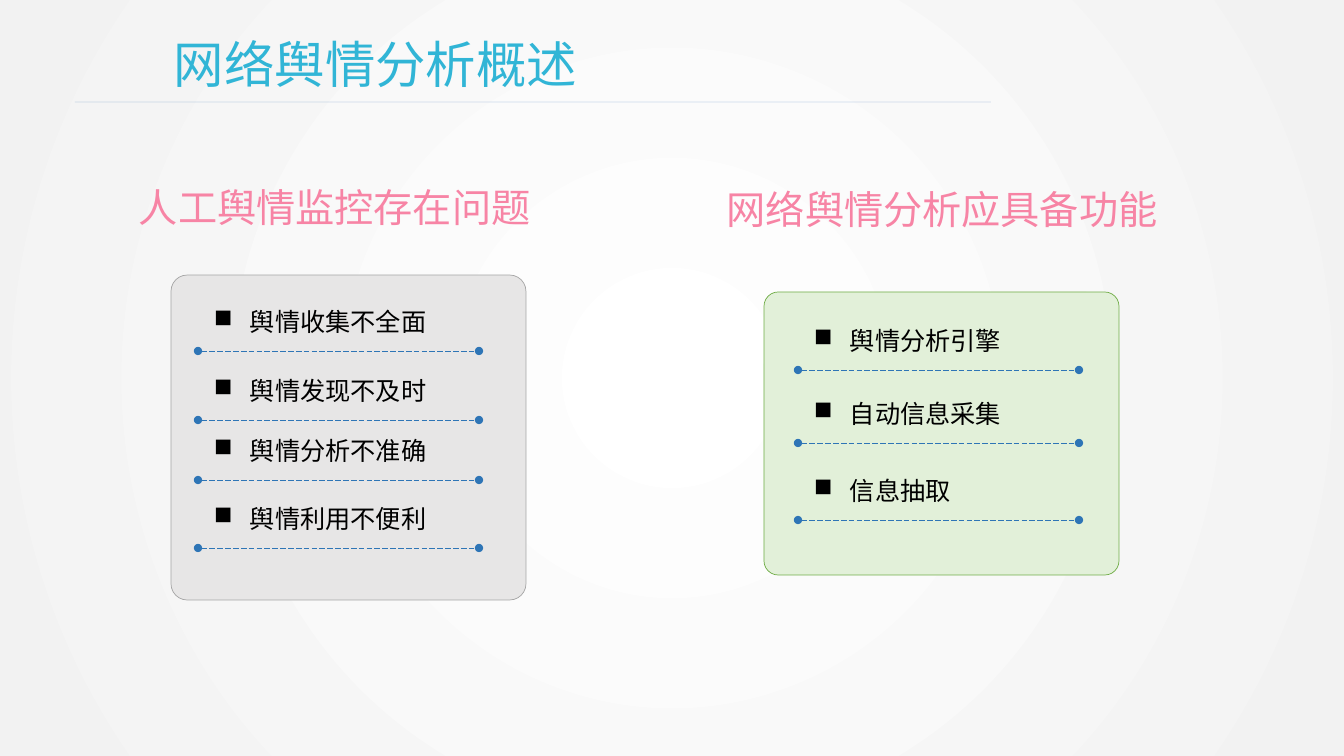
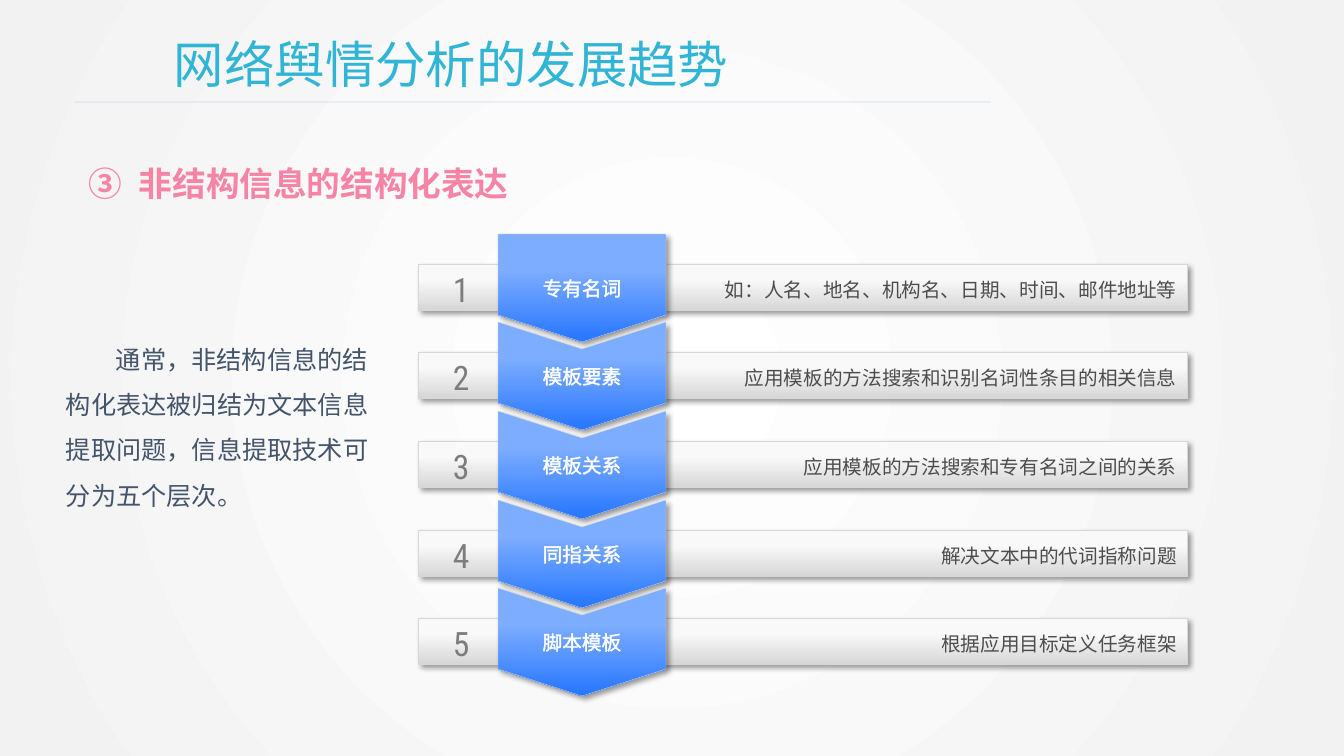
from dataclasses import dataclass

from pptx import Presentation
from pptx.dml.color import RGBColor
from pptx.enum.dml import MSO_LINE
from pptx.enum.shapes import MSO_CONNECTOR, MSO_SHAPE
from pptx.enum.text import MSO_ANCHOR, PP_ALIGN
from pptx.oxml.ns import qn
from pptx.util import Pt
from lxml.etree import SubElement as add_element

EMU_PER_PX = 914400 / 100.8


@dataclass(frozen=True)
class Theme:
    font: str = "Noto Sans CJK SC"
    number_font: str = "Roboto Condensed"
    title: str = "31B5D6"
    rule: str = "4A7EBB"
    heading: str = "F784A5"
    ink: str = "000000"
    body: str = "44546A"
    detail: str = "4D4D4D"
    number: str = "7D7D7D"
    white: str = "FFFFFF"
    dash: str = "2E75B6"
    edge: str = "D7D7D7"
    gray_panel: tuple = ("E7E6E6", "A5A5A5")
    green_panel: tuple = ("E2F0D9", "70AD47")
    backdrop: tuple = ("FFFFFF", "F2F2F2")
    bar: tuple = ("F9F9F9", "D7D7D7")
    chevron: tuple = ("7DADFF", "2676FF")
    title_size: int = 36
    heading_size: int = 28
    subheading_size: int = 24
    body_size: int = 18
    label_size: int = 14


THEME = Theme()


def px(length):
    return round(length * EMU_PER_PX)


def rgb(color):
    return RGBColor.from_string(color)


def blend(fill, colors, start=0.0):
    fill.gradient()
    for stop, color, position in zip(fill.gradient_stops, colors, (start, 1.0)):
        stop.color.rgb = rgb(color)
        stop.position = position


def write(frame, text, size=THEME.body_size, color=THEME.ink, font=THEME.font,
          bold=False, align=PP_ALIGN.LEFT, spacing=None, margin=0, indent=0,
          bullet=None, number_from=None, outline=None):
    para = frame.paragraphs[0]
    para.alignment = align
    if spacing:
        para.line_spacing = spacing
    props = para._p.get_or_add_pPr()
    props.set("marL", str(px(margin)))
    props.set("indent", str(px(indent)))
    if bullet:
        add_element(props, qn("a:buChar"), char=bullet)
    if number_from:
        add_element(props, qn("a:buAutoNum"), type="circleNumDbPlain",
                    startAt=str(number_from))
    span = para.add_run()
    span.text = text
    span.font.size = Pt(size)
    span.font.bold = bold
    span.font.color.rgb = rgb(color)
    span.font.name = font
    span_props = span._r.get_or_add_rPr()
    add_element(span_props, qn("a:ea"), typeface=font)
    if outline:
        line = add_element(span_props, qn("a:ln"), w=str(Pt(0.75)))
        solid = add_element(line, qn("a:solidFill"))
        add_element(solid, qn("a:srgbClr"), val=outline)
        span_props.insert(0, line)


class Slides:
    def __init__(self, theme):
        self.theme = theme
        self.deck = Presentation()
        self.deck.slide_width = px(1344)
        self.deck.slide_height = px(756)
        self.page = None
        self.paint_backdrop()

    def paint_backdrop(self):
        fill = self.deck.slide_master.background.fill
        blend(fill, self.theme.backdrop)
        gradient = self.deck.slide_master._element.find(".//" + qn("a:gradFill"))
        gradient.remove(gradient.find(qn("a:lin")))
        circle = add_element(gradient, qn("a:path"), path="circle")
        add_element(circle, qn("a:fillToRect"), l="50000", t="50000",
                    r="50000", b="50000")

    def start(self, title):
        self.page = self.deck.slides.add_slide(self.deck.slide_layouts[6])
        self.text(title, 164, 28, 857, 72, size=self.theme.title_size,
                  color=self.theme.title)
        self.line(75, 102, 916, self.theme.rule, opacity=25)

    def text(self, text, left, top, width, height, anchor=MSO_ANCHOR.TOP, **style):
        box = self.page.shapes.add_textbox(px(left), px(top), px(width), px(height))
        box.text_frame.word_wrap = True
        box.text_frame.vertical_anchor = anchor
        write(box.text_frame, text, **style)

    def line(self, left, top, width, color, opacity=None, dotted_ends=False):
        line = self.page.shapes.add_connector(
            MSO_CONNECTOR.STRAIGHT, px(left), px(top), px(left + width), px(top))
        line.line.width = Pt(0.5)
        line.line.color.rgb = rgb(color)
        stroke = line.line._get_or_add_ln()
        if opacity:
            add_element(stroke.find(".//" + qn("a:srgbClr")), qn("a:alpha"),
                        val=str(opacity * 1000))
        if dotted_ends:
            line.line.dash_style = MSO_LINE.LONG_DASH
            for end in ("a:headEnd", "a:tailEnd"):
                add_element(stroke, qn(end), type="oval")
        add_element(line._element.spPr, qn("a:effectLst"))

    def panel(self, left, top, width, height, colors):
        panel = self.page.shapes.add_shape(
            MSO_SHAPE.ROUNDED_RECTANGLE, px(left), px(top), px(width), px(height))
        panel.adjustments[0] = 0.05
        panel.shadow.inherit = False
        fill, edge = colors
        panel.fill.solid()
        panel.fill.fore_color.rgb = rgb(fill)
        panel.line.color.rgb = rgb(edge)
        panel.line.width = Pt(0.5)

    def bullets(self, items, left):
        for text, rule_top in items:
            self.line(left, rule_top, 281, self.theme.dash, dotted_ends=True)
            self.text(text, left + 6, rule_top - 52, 273, 45,
                      anchor=MSO_ANCHOR.MIDDLE, bullet="■", margin=36, indent=-36)

    def raise_up(self, shape, colors):
        blend(shape.fill, colors, start=0.33)
        shape.fill.gradient_angle = 270
        shape.line.color.rgb = rgb(self.theme.edge)
        shape.line.width = Pt(0.25)
        shape.shadow.inherit = False
        effects = shape._element.spPr.find(qn("a:effectLst"))
        shadow = add_element(effects, qn("a:outerShdw"), blurRad=str(Pt(4)),
                             dist=str(Pt(3)), dir="2700000", algn="tl",
                             rotWithShape="0")
        color = add_element(shadow, qn("a:srgbClr"), val=self.theme.ink)
        add_element(color, qn("a:alpha"), val="40000")
        shape.text_frame.word_wrap = True
        shape.text_frame.vertical_anchor = MSO_ANCHOR.MIDDLE

    def bar(self, text, left, top, width, height):
        bar = self.page.shapes.add_shape(
            MSO_SHAPE.RECTANGLE, px(left), px(top), px(width), px(height))
        self.raise_up(bar, self.theme.bar)
        write(bar.text_frame, text, size=self.theme.label_size,
              color=self.theme.detail, align=PP_ALIGN.RIGHT, spacing=1.2)

    def chevron(self, text, left, top, notched):
        width, side, point = 168, 81, 27
        right, middle = left + width, left + width / 2
        corners = [(right, top), (right, top + side),
                   (middle, top + side + point), (left, top + side)]
        if notched:
            corners.insert(0, (middle, top + point))
        builder = self.page.shapes.build_freeform(px(left), px(top))
        builder.add_line_segments([(px(x), px(y)) for x, y in corners])
        chevron = builder.convert_to_shape()
        self.raise_up(chevron, self.theme.chevron)
        chevron.text_frame.margin_left = chevron.text_frame.margin_right = 0
        write(chevron.text_frame, text, size=self.theme.label_size,
              color=self.theme.white, align=PP_ALIGN.CENTER,
              outline=self.theme.white)


def build_overview(slides):
    theme = slides.theme
    slides.start("网络舆情分析概述")
    heading = dict(size=theme.heading_size, color=theme.heading)
    slides.text("人工舆情监控存在问题", 129, 178, 455, 57, **heading)
    slides.text("网络舆情分析应具备功能", 717, 180, 511, 57, **heading)
    slides.panel(171, 275, 355, 325, theme.gray_panel)
    slides.panel(764, 292, 355, 283, theme.green_panel)
    slides.bullets([("舆情收集不全面", 351), ("舆情发现不及时", 420),
                    ("舆情分析不准确", 480), ("舆情利用不便利", 548)], 198)
    slides.bullets([("舆情分析引擎", 370), ("自动信息采集", 443),
                    ("信息抽取", 520)], 798)


def build_trend(slides):
    theme = slides.theme
    slides.start("网络舆情分析的发展趋势")
    slides.text("非结构信息的结构化表达", 79, 158, 460, 50,
                size=theme.subheading_size, color=theme.heading, bold=True,
                number_from=3, margin=50, indent=-50)
    levels = [
        ("专有名词", "如：人名、地名、机构名、日期、时间、邮件地址等"),
        ("模板要素", "应用模板的方法搜索和识别名词性条目的相关信息"),
        ("模板关系", "应用模板的方法搜索和专有名词之间的关系"),
        ("同指关系", "解决文本中的代词指称问题"),
        ("脚本模板", "根据应用目标定义任务框架"),
    ]
    for index, (name, detail) in enumerate(levels):
        top = 264 + round(88.5 * index)
        slides.bar(detail, 418, top, 769, 46)
        slides.text(str(index + 1), 443, top, 53, 50, size=theme.subheading_size,
                    color=theme.number, font=theme.number_font)
        slides.chevron(name, 498, top - 30, notched=index > 0)
    slides.text("通常，非结构信息的结构化表达被归结为文本信息提取问题，"
                "信息提取技术可分为五个层次。", 56, 324, 326, 188,
                color=theme.body, spacing=1.5, indent=50)


def main():
    slides = Slides(THEME)
    build_overview(slides)
    build_trend(slides)
    slides.deck.save("out.pptx")


if __name__ == "__main__":
    main()
